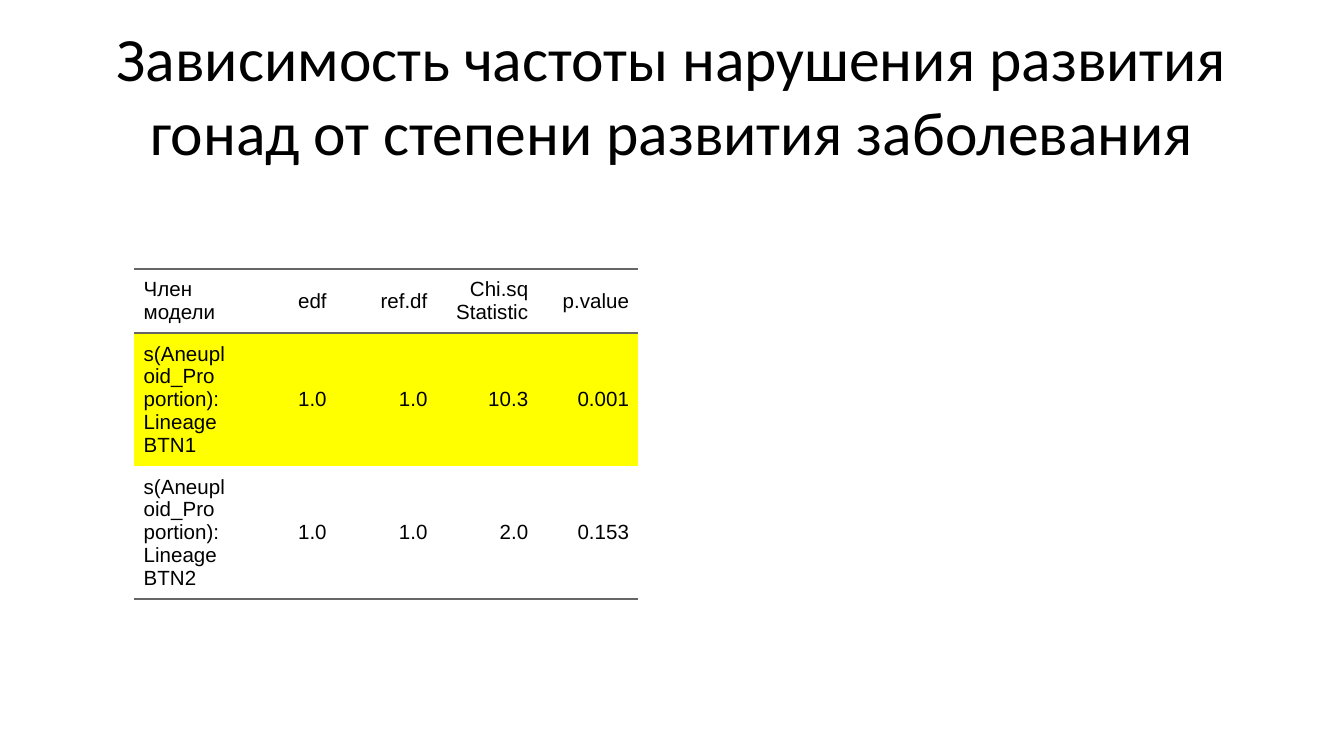
"""Build a slide with a title and a table of model terms."""
import pptx
import pptx.dml.color
import pptx.enum.text
import pptx.oxml
import pptx.oxml.ns
import pptx.util

Inches = pptx.util.Inches
Pt = pptx.util.Pt
RGBColor = pptx.dml.color.RGBColor
Align = pptx.enum.text.PP_ALIGN
Anchor = pptx.enum.text.MSO_ANCHOR

TITLE = "Зависимость частоты нарушения развития гонад от степени развития заболевания"
ROWS = [
    ("Член модели", "edf", "ref.df", "Chi.sq Statistic", "p.value"),
    ("s(Aneuploid_Proportion):LineageBTN1", "1.0", "1.0", "10.3", "0.001"),
    ("s(Aneuploid_Proportion):LineageBTN2", "1.0", "1.0", "2.0", "0.153"),
]
RULES = {0: ("lnT", "lnB"), len(ROWS) - 1: ("lnB",)}
HIGHLIGHTED_ROW = 1

BLACK = RGBColor(0x00, 0x00, 0x00)
YELLOW = RGBColor(0xFF, 0xFF, 0x00)
GREY = RGBColor(0x66, 0x66, 0x66)

SLIDE_WIDTH = Inches(10)
SLIDE_HEIGHT = SLIDE_WIDTH * 9 // 16
COLUMN_WIDTH, ROW_HEIGHT = Inches(0.75), Inches(0.25)
PADDING = Pt(5)
PLAIN_STYLE = "{2D5ABB26-0587-4C30-8999-92F81FD0307C}"


def style_font(para, name, size):
    para.font.name = name
    para.font.size = Pt(size)
    para.font.color.rgb = BLACK


def add_rule(cell, side):
    cell._tc.get_or_add_tcPr().append(pptx.oxml.parse_xml(
        f'<a:{side} {pptx.oxml.ns.nsdecls("a")} w="{Pt(1.5)}">'
        f'<a:solidFill><a:srgbClr val="{GREY}"/></a:solidFill></a:{side}>'))


def fill_cell(cell, text, row, column):
    cell.text = text
    cell.vertical_anchor = Anchor.MIDDLE
    cell.margin_left = cell.margin_right = 0
    cell.margin_top = cell.margin_bottom = PADDING
    para = cell.text_frame.paragraphs[0]
    para.alignment = Align.RIGHT if column else Align.LEFT
    para.space_before = para.space_after = PADDING
    style_font(para, "Arial", 11)
    for side in ("marL", "marR"):
        para._p.get_or_add_pPr().set(side, str(PADDING))
    for side in RULES.get(row, ()):
        add_rule(cell, side)
    if row == HIGHLIGHTED_ROW:
        cell.fill.solid()
        cell.fill.fore_color.rgb = YELLOW
    else:
        cell.fill.background()


def add_title(page):
    title = page.shapes.title
    title.left, title.top = Inches(0.5), Inches(0.23)
    title.width, title.height = Inches(9), Inches(0.94)
    frame = title.text_frame
    frame.text = TITLE
    frame.word_wrap = True
    frame.auto_size = pptx.enum.text.MSO_AUTO_SIZE.NONE
    frame.vertical_anchor = Anchor.MIDDLE
    para = frame.paragraphs[0]
    para.alignment = Align.CENTER
    style_font(para, "Calibri", 33)


def add_model_table(page):
    row_count, column_count = len(ROWS), len(ROWS[0])
    holder = page.shapes.add_table(
        row_count, column_count, Inches(1), Inches(2),
        COLUMN_WIDTH * column_count, ROW_HEIGHT * row_count)
    holder.width, holder.height = Inches(10), Inches(6)
    table = holder.table
    table.first_row = table.horz_banding = False
    table._tbl.tblPr.find(pptx.oxml.ns.qn("a:tableStyleId")).text = PLAIN_STYLE
    for row, texts in enumerate(ROWS):
        for column, text in enumerate(texts):
            fill_cell(table.cell(row, column), text, row, column)


def main():
    deck = pptx.Presentation()
    deck.slide_width, deck.slide_height = SLIDE_WIDTH, SLIDE_HEIGHT
    page = deck.slides.add_slide(deck.slide_layouts.get_by_name("Title Only"))
    add_title(page)
    add_model_table(page)
    deck.save("out.pptx")


if __name__ == "__main__":
    main()
